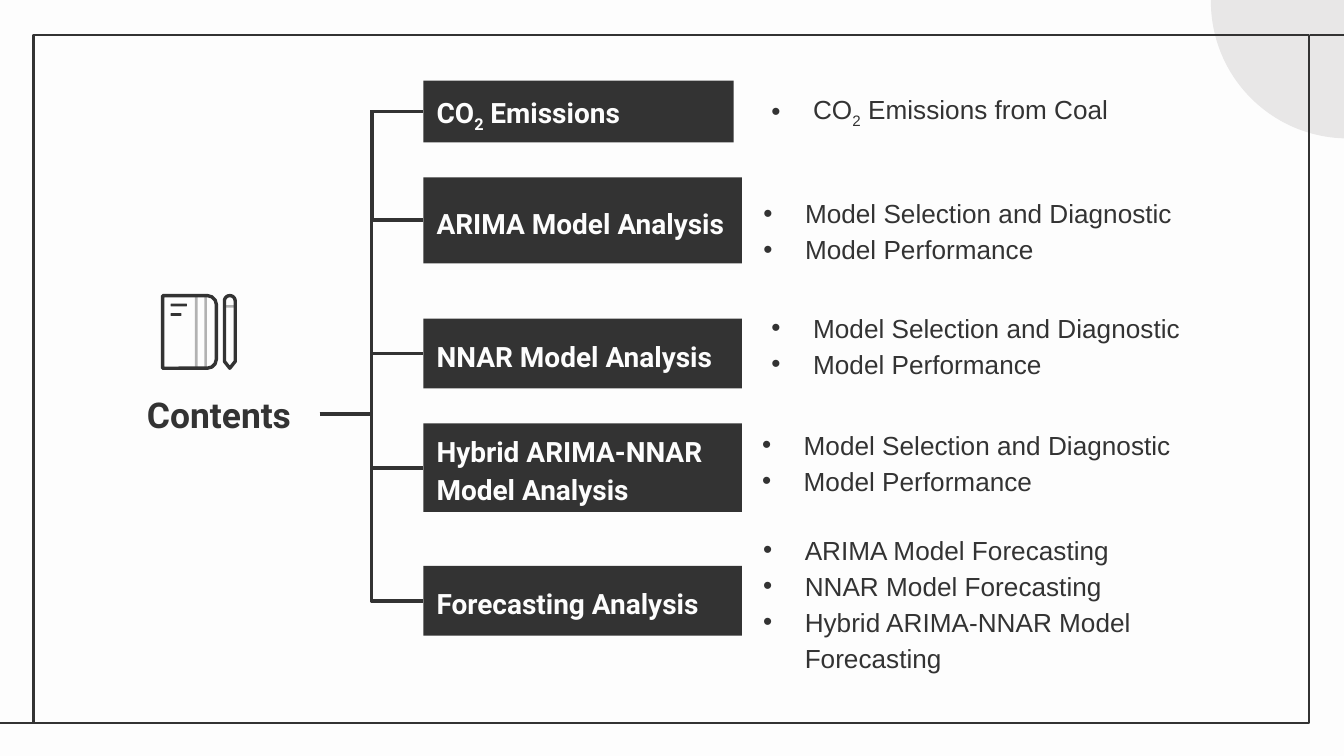
import math
from dataclasses import dataclass

import lxml.etree
import pptx
import pptx.dml.color
import pptx.enum.shapes
import pptx.enum.text
import pptx.oxml.ns
import pptx.util

Inches = pptx.util.Inches
Pt = pptx.util.Pt
SHAPE = pptx.enum.shapes.MSO_SHAPE
LINK = pptx.enum.shapes.MSO_CONNECTOR
ANCHOR = pptx.enum.text.MSO_ANCHOR
ALIGN = pptx.enum.text.PP_ALIGN

DARK, PALE, GREY, DISC = "333333", "FDFDFD", "B2B2B2", "E8E7E7"
HEAD = {"name": "Roboto", "size": Pt(19), "bold": True}
LABEL = {"name": "Roboto", "size": Pt(15), "bold": True}
ITEM = {"name": "Arial", "size": Pt(14), "bold": False}
FRAME = {
    "word_wrap": True,
    "auto_size": pptx.enum.text.MSO_AUTO_SIZE.NONE,
    **{f"margin_{side}": Inches(0.1) for side in ("left", "right", "top", "bottom")},
}
PARA = {"line_spacing": 1.15, "space_before": Pt(0), "space_after": Pt(0)}
Rect = tuple[float, float, float, float]


@dataclass
class Topic:
    label: str
    box: Rect
    items: list[str]
    area: Rect


PAIR = ["Model Selection and Diagnostic", "Model Performance"]
TOPICS = [
    Topic("CO|2| Emissions", (3.15, 0.6, 2.31, 0.46),
          ["CO|2| Emissions from Coal"], (5.64, 0.53, 3.74, 0.56)),
    Topic("ARIMA Model Analysis", (3.15, 1.32, 2.37, 0.64),
          PAIR, (5.58, 1.32, 3.64, 0.77)),
    Topic("NNAR Model Analysis", (3.15, 2.37, 2.37, 0.52),
          PAIR, (5.64, 2.23, 3.57, 0.65)),
    Topic("Hybrid ARIMA-NNAR Model Analysis", (3.15, 3.15, 2.37, 0.66),
          PAIR, (5.57, 3.04, 3.64, 0.77)),
    Topic("Forecasting Analysis", (3.15, 4.21, 2.37, 0.52),
          ["ARIMA Model Forecasting", "NNAR Model Forecasting",
           "Hybrid ARIMA-NNAR Model Forecasting"], (5.58, 4.09, 3.64, 0.77)),
]


def apply(target, values: dict) -> None:
    for name, value in values.items():
        setattr(target, name, value)


def tint(form, color: str) -> None:
    if hasattr(form, "solid"):
        form.solid()
        form = form.fore_color
    form.rgb = pptx.dml.color.RGBColor.from_string(color)


def place(shape, rect: Rect) -> None:
    apply(shape, dict(zip(("left", "top", "width", "height"), map(Inches, rect))))


def style(shape, fill: str = "", line: str = "", width: float = 1.5):
    shape.shadow.inherit = False
    if fill:
        tint(shape.fill, fill)
    else:
        shape.fill.background()
    if line:
        tint(shape.line.fill, line)
        shape.line.width = Pt(width)
    else:
        shape.line.fill.background()
    return shape


def draw(slide, kind, rect: Rect, fill: str = "", line: str = "", width: float = 1.5):
    shape = slide.shapes.add_shape(kind, *map(Inches, rect))
    return style(shape, fill, line, width)


def join(slide, kind, start: tuple, end: tuple, width: float = 2):
    link = slide.shapes.add_connector(kind, *map(Inches, (*start, *end)))
    tint(link.line.fill, DARK)
    link.line.width = Pt(width)
    lxml.etree.SubElement(link._element.spPr, pptx.oxml.ns.qn("a:effectLst"))
    return link


def write(shape, lines: list[str], font: dict, color: str, anchor=ANCHOR.MIDDLE,
          align=ALIGN.LEFT, dots: bool = False) -> None:
    frame = shape.text_frame
    apply(frame, {**FRAME, "vertical_anchor": anchor})
    for row, line in enumerate(lines):
        para = frame.add_paragraph() if row else frame.paragraphs[0]
        apply(para, {**PARA, "alignment": align})
        if dots:
            props = para._p.get_or_add_pPr()
            props.set("marL", str(Inches(0.31)))
            props.set("indent", str(-Inches(0.31)))
            for tag, key, value in (("a:buFont", "typeface", "Arial"),
                                    ("a:buChar", "char", "•")):
                lxml.etree.SubElement(props, pptx.oxml.ns.qn(tag)).set(key, value)
        for index, part in enumerate(line.split("|")):
            run = para.add_run()
            run.text = part
            apply(run.font, font)
            tint(run.font.fill, color)
            if index % 2:
                run._r.get_or_add_rPr().set("baseline", "-25000")


def draw_icon(slide) -> None:
    for rect in ((1.45, 2.2, 0.02, 0.54), (1.52, 2.2, 0.02, 0.54),
                 (1.68, 2.27, 0.07, 0.02)):
        draw(slide, SHAPE.RECTANGLE, rect, GREY)
    book = draw(slide, SHAPE.ROUND_2_SAME_RECTANGLE, (1.14, 2.27, 0.54, 0.4),
                line=DARK, width=1.8)
    book.rotation = 90
    for rect in ((1.27, 2.26, 0.12, 0.02), (1.27, 2.33, 0.08, 0.02)):
        draw(slide, SHAPE.ROUNDED_RECTANGLE, rect, DARK)
    mid, top, half = 1.71, 2.24, 0.04
    curve = [(mid - half * math.cos(math.radians(turn)),
              top - half * math.sin(math.radians(turn))) for turn in range(0, 181, 15)]
    tip = [(mid + half, 2.69), (mid, 2.74), (mid - half, 2.69)]
    first, *rest = [(Inches(x), Inches(y)) for x, y in curve + tip]
    pen = slide.shapes.build_freeform(*first)
    pen.add_line_segments(rest)
    style(pen.convert_to_shape(), line=DARK, width=1.8)


def main() -> None:
    deck = pptx.Presentation()
    wide = Inches(10)
    apply(deck, {"slide_width": wide, "slide_height": wide * 9 // 16})
    slide = deck.slides.add_slide(deck.slide_layouts[4])
    tint(slide.background.fill, PALE)

    draw(slide, SHAPE.OVAL, (9.01, -1.01, 2.04, 2.04), DISC)
    draw(slide, SHAPE.RECTANGLE, (0.25, 0.26, 9.49, 5.12), line=DARK)
    join(slide, LINK.STRAIGHT, (0.26, 5.38), (-0.02, 5.38), 1.5)
    join(slide, LINK.STRAIGHT, (10.03, 0.26), (9.75, 0.26), 1.5)

    title = slide.shapes.title
    place(title, (0.88, 2.82, 1.5, 0.52))
    write(title, ["Contents"], HEAD, DARK, ANCHOR.BOTTOM, ALIGN.CENTER)
    draw_icon(slide)

    lists = list(slide.placeholders)[1:]
    lists.append(slide.shapes.add_textbox(0, 0, 0, 0))
    for row, (topic, body) in enumerate(zip(TOPICS, lists)):
        box = draw(slide, SHAPE.RECTANGLE, topic.box, DARK)
        write(box, [topic.label], LABEL, PALE)
        place(body, topic.area)
        write(body, topic.items, ITEM, DARK, dots=True)
        left, top, _, height = topic.box
        end = (left, top + height / 2)
        if row:
            link = join(slide, LINK.ELBOW, (2.38, 3.08), end)
            link.begin_connect(title, 3)
        else:
            link = join(slide, LINK.STRAIGHT, (2.77, end[1]), end)
        link.end_connect(box, 1)
    join(slide, LINK.STRAIGHT, (2.77, 0.82), (2.77, 1.64))

    deck.save("out.pptx")


if __name__ == "__main__":
    main()
